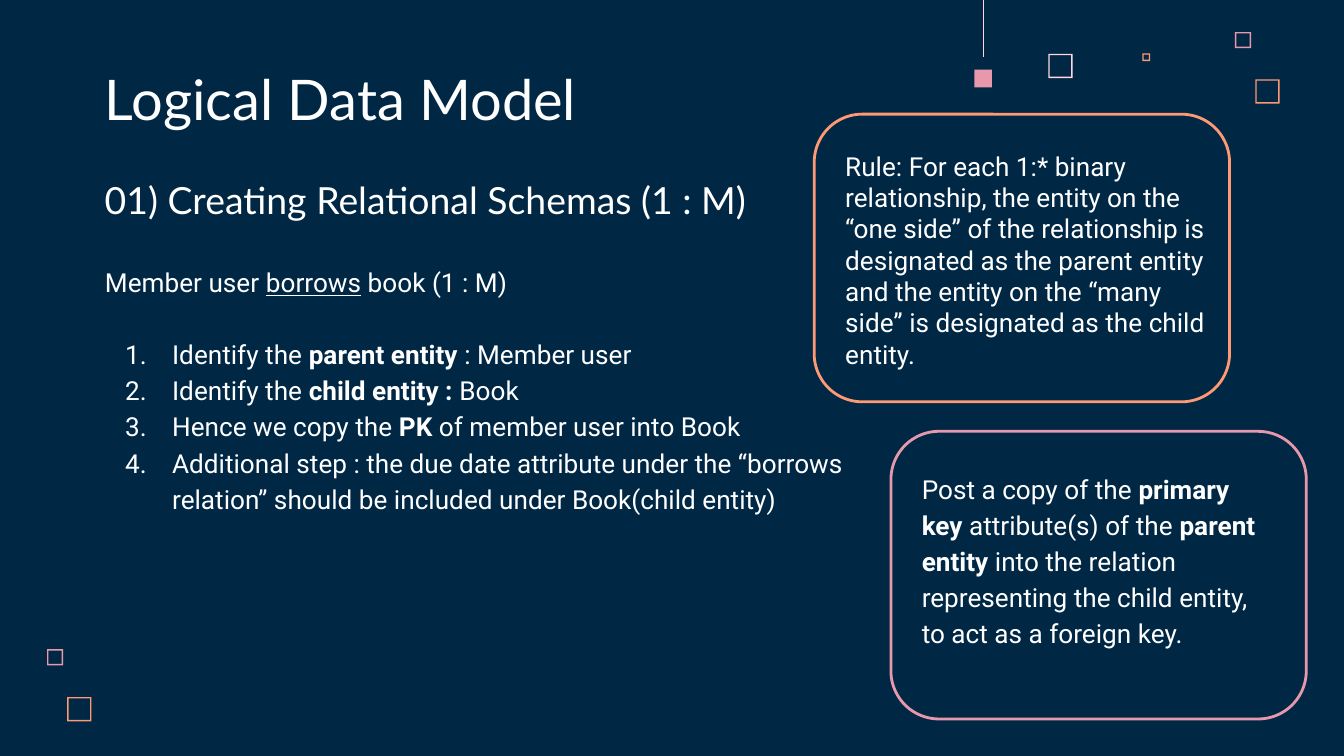
from lxml import etree
from pptx import Presentation
from pptx.dml.color import RGBColor
from pptx.enum import shapes, text
from pptx.oxml import ns
from pptx.util import Pt

NAVY = RGBColor(0x00, 0x28, 0x45)
WHITE = RGBColor(0xFF, 0xFF, 0xFF)
BLUSH = RGBColor(0xFF, 0xD6, 0xE1)
PINK = RGBColor(0xE8, 0x98, 0xAC)
ORANGE = RGBColor(0xFF, 0x99, 0x73)

HEADING_FONT = "Lato"
BODY_FONT = "Roboto"
LINE_SPACING = 1.15
FRAME_WIDTH = 0.75

FRAMES = [
    (561.6, 28.8, 13, BLUSH),
    (661.6, 17.2, 8.6, PINK),
    (612, 28.6, 4.2, ORANGE),
    (672.5, 42.5, 13, ORANGE),
    (25.2, 347.8, 8.6, PINK),
    (36, 373.4, 13, ORANGE),
]

CARDS = [(436.2, 61.2, ORANGE), (477.3, 231.1, PINK)]

RELATIONSHIP = [("Member user ", ""), ("borrows", "u"), (" book (1 : M)", "")]

STEPS = [
    [("Identify the ", ""), ("parent entity", "b"), (" : Member user", "")],
    [("Identify the ", ""), ("child entity : ", "b"), ("Book", "")],
    [("Hence we copy the ", ""), ("PK", "b"), (" of member user into Book", "")],
    [("Additional step : the due date attribute under the “borrows relation” "
      "should be included under Book(child entity)", "")],
]

RULE = [("Rule: For each 1:* binary relationship, the entity on the “one side” "
         "of the relationship is designated as the parent entity and the entity "
         "on the “many side” is designated as the child entity.", "")]

KEY_COPY = [
    ("Post a copy of the ", ""), ("primary key", "b"),
    (" attribute(s) of the ", ""), ("parent entity", "b"),
    (" into the relation representing the child entity, to act as a foreign key.", ""),
]


def place(box, left, top, width, height, anchor):
    box.left, box.top = Pt(left), Pt(top)
    box.width, box.height = Pt(width), Pt(height)
    frame = box.text_frame
    frame.word_wrap = True
    frame.auto_size = text.MSO_AUTO_SIZE.NONE
    frame.vertical_anchor = anchor
    frame.margin_left = frame.margin_right = Pt(7.2)
    frame.margin_top = frame.margin_bottom = Pt(7.2)
    return frame


def add_text_box(page, left, top, width, height, anchor):
    box = page.shapes.add_textbox(0, 0, Pt(width), Pt(height))
    return place(box, left, top, width, height, anchor)


def write(para, spans, size=14, font=BODY_FONT, spacing=1.0, before=0):
    para.alignment = text.PP_ALIGN.LEFT
    para.line_spacing = spacing
    para.space_before = Pt(before)
    for wording, style in spans:
        span = para.add_run()
        span.text = wording
        span.font.name = font
        span.font.size = Pt(size)
        span.font.color.rgb = WHITE
        span.font.bold = style == "b"
        span.font.underline = style == "u"


def set_bullet(para, numbered):
    props = para._p.get_or_add_pPr()
    props.set("marL", str(Pt(36) if numbered else 0))
    props.set("indent", str(Pt(-25.2) if numbered else 0))
    if numbered:
        colour = etree.SubElement(props, ns.qn("a:buClr"))
        etree.SubElement(colour, ns.qn("a:srgbClr"), val=str(WHITE))
        etree.SubElement(props, ns.qn("a:buFont"), typeface=BODY_FONT)
        etree.SubElement(props, ns.qn("a:buAutoNum"), type="arabicPeriod")
    else:
        etree.SubElement(props, ns.qn("a:buNone"))


def write_steps(frame):
    intro = frame.paragraphs[0]
    set_bullet(intro, False)
    write(intro, RELATIONSHIP, spacing=LINE_SPACING)
    for index, spans in enumerate(STEPS):
        para = frame.add_paragraph()
        set_bullet(para, True)
        write(para, spans, spacing=LINE_SPACING, before=19.3 if index == 0 else 0)


def add_solid(page, kind, left, top, size, colour):
    square = page.shapes.add_shape(kind, Pt(left), Pt(top), Pt(size), Pt(size))
    square.shadow.inherit = False
    square.fill.solid()
    square.fill.fore_color.rgb = colour
    square.line.fill.background()
    return square


def add_frame(page, left, top, size, colour):
    square = add_solid(page, shapes.MSO_SHAPE.FRAME, left, top, size, colour)
    square.adjustments[0] = FRAME_WIDTH / size


def add_pendant(page):
    cord = page.shapes.add_connector(
        shapes.MSO_CONNECTOR.STRAIGHT, Pt(527.1), Pt(0), Pt(527.1), Pt(30.8))
    cord.line.color.rgb = BLUSH
    cord.line.width = Pt(0.5)
    etree.SubElement(cord._element.spPr, ns.qn("a:effectLst"))
    add_solid(page, shapes.MSO_SHAPE.RECTANGLE, 522, 37.4, 9.4, PINK)


def add_card(page, left, top, colour):
    card = page.shapes.add_shape(
        shapes.MSO_SHAPE.ROUNDED_RECTANGLE, Pt(left), Pt(top), Pt(222.5), Pt(154.1))
    card.adjustments[0] = 0.167
    card.shadow.inherit = False
    card.fill.background()
    card.line.color.rgb = colour
    card.line.width = Pt(1.5)


def main():
    deck = Presentation()
    deck.slide_width, deck.slide_height = Pt(720), Pt(405)
    page = deck.slides.add_slide(deck.slide_layouts[1])
    page.background.fill.solid()
    page.background.fill.fore_color.rgb = NAVY

    for square in FRAMES:
        add_frame(page, *square)
    add_pendant(page)

    top, bottom = text.MSO_ANCHOR.TOP, text.MSO_ANCHOR.BOTTOM
    title = place(page.shapes.title, 49, 32.4, 296.6, 45.4, bottom)
    write(title.paragraphs[0], [("Logical Data Model", "")], 30, HEADING_FONT)
    subtitle = add_text_box(page, 49, 72, 358.6, 54, bottom)
    write(subtitle.paragraphs[0],
          [("01) Creating Relational Schemas (1 : M)", "")], 20, HEADING_FONT)
    write_steps(place(page.placeholders[1], 49, 133.2, 413.3, 167, top))

    rule = add_text_box(page, 445.7, 72, 212.4, 133.2, bottom)
    write(rule.paragraphs[0], RULE)
    key_copy = add_text_box(page, 486.7, 244.1, 193, 128.9, top)
    write(key_copy.paragraphs[0], KEY_COPY, spacing=LINE_SPACING)
    for card in CARDS:
        add_card(page, *card)

    deck.save("out.pptx")


if __name__ == "__main__":
    main()
